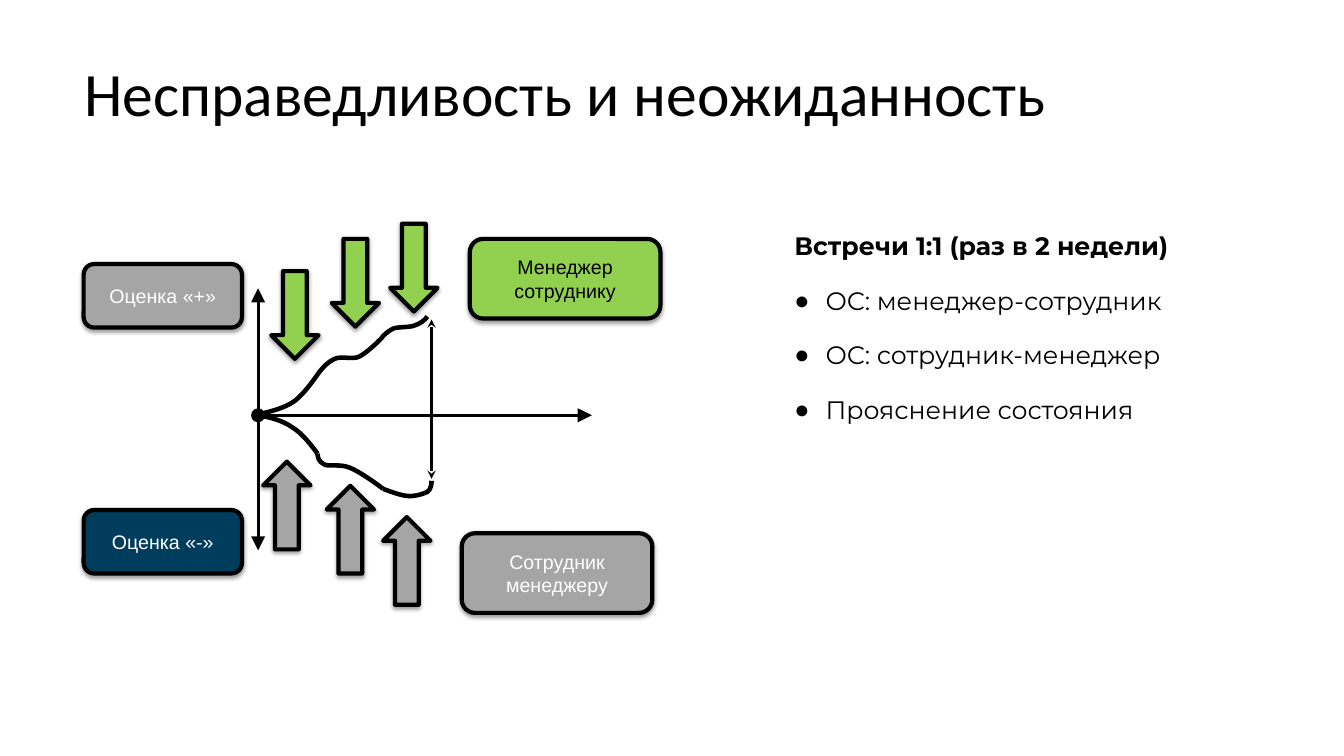
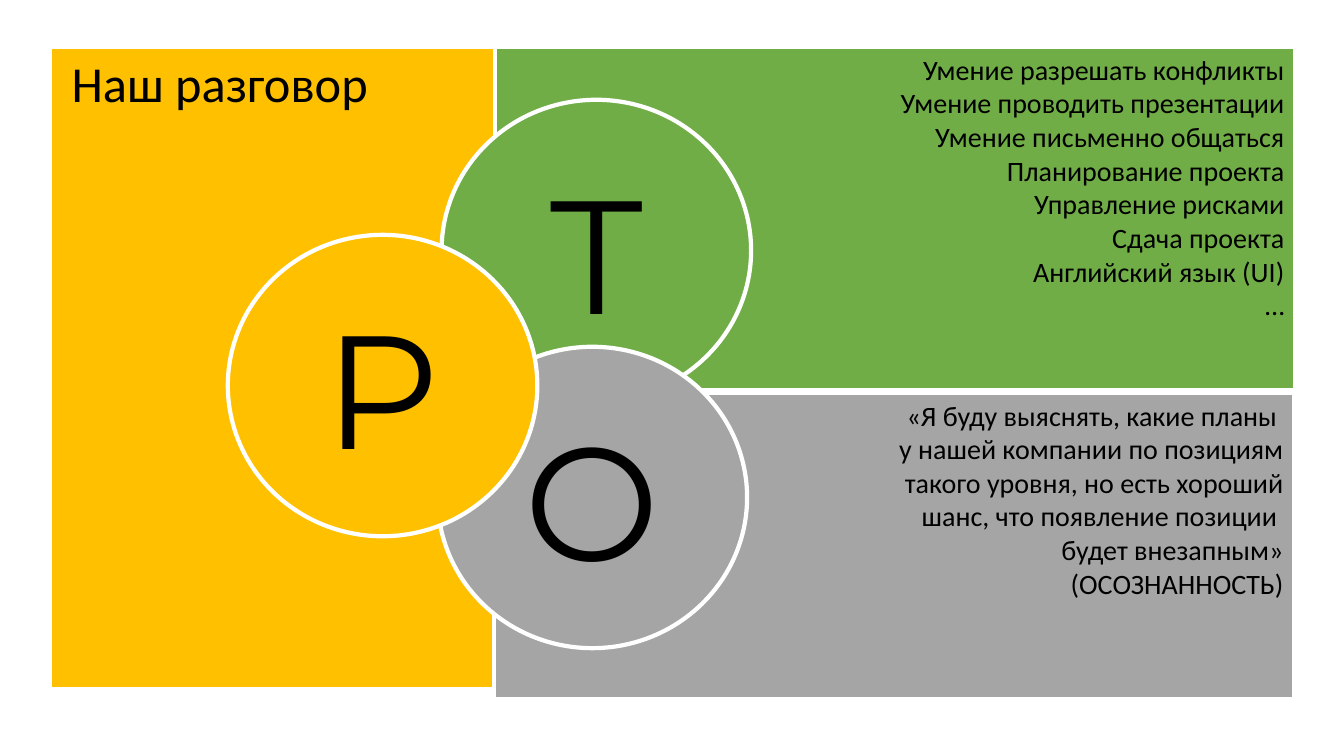
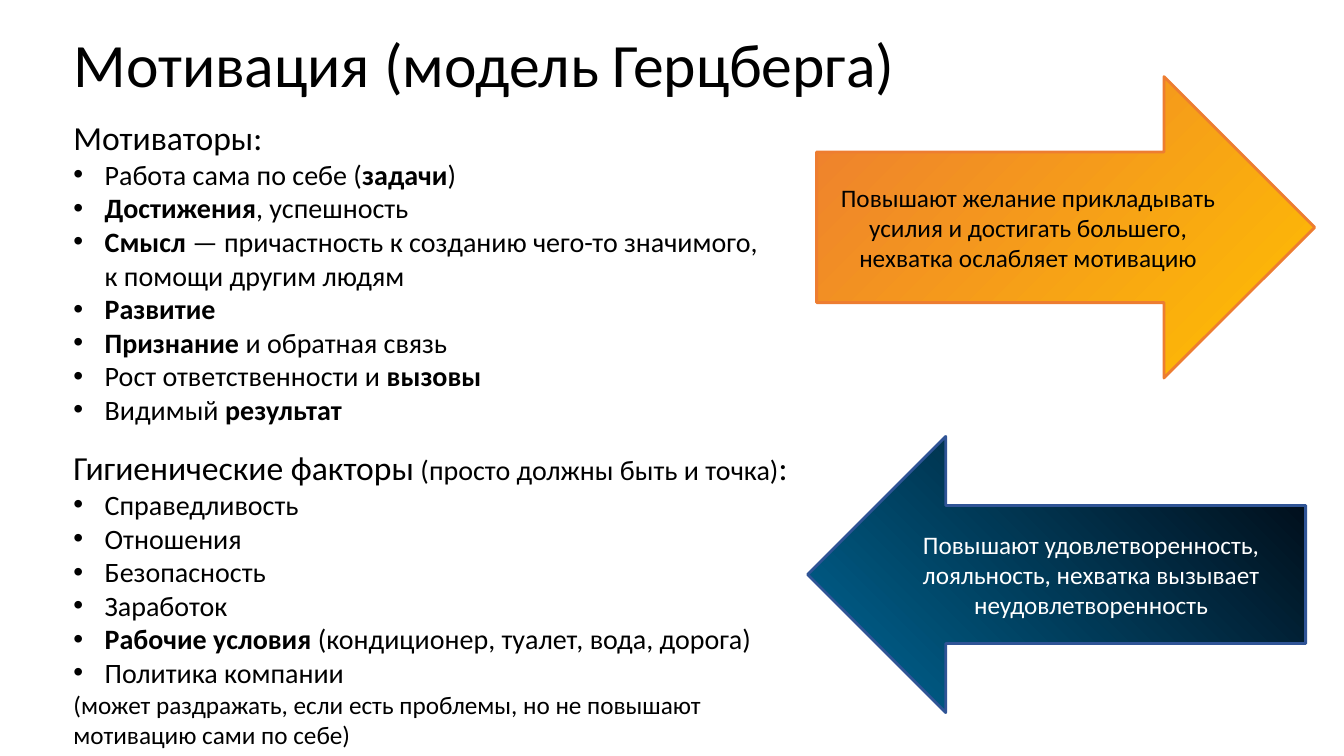
from lxml.etree import SubElement
from pptx import Presentation
from pptx.dml.color import RGBColor
from pptx.enum.shapes import MSO_CONNECTOR, MSO_SHAPE
from pptx.enum.text import MSO_ANCHOR, PP_ALIGN
from pptx.oxml.ns import qn
from pptx.util import Inches, Pt

BLACK, WHITE, GREY = "000000", "FFFFFF", "A5A5A5"
LIME, GREEN, GOLD = "92D050", "70AD47", "FFC000"
NAVY, ORANGE, BLUE = "003D5D", "ED7D31", "2F5496"
LEFT, MID, RIGHT = PP_ALIGN.LEFT, PP_ALIGN.CENTER, PP_ALIGN.RIGHT


def rgb(code):
    return RGBColor.from_string(code)


def inch(*sizes):
    return [Inches(size) for size in sizes]


def add_mark(para, mark):
    """Give a paragraph a bullet with a hanging indent."""
    props = para._p.get_or_add_pPr()
    props.set("marL", str(Inches(0.31)))
    props.set("indent", str(-Inches(0.31)))
    tint = SubElement(props, qn("a:buClr"))
    SubElement(tint, qn("a:srgbClr"), val=BLACK)
    SubElement(props, qn("a:buFont"), typeface="Arial")
    SubElement(props, qn("a:buChar"), char=mark)


def write(frame, text, size=18, font="Calibri", color=BLACK, align=LEFT,
          bold=False, alt=None, mark=None, gap=0, lead=None):
    """Add one paragraph per line; parts between asterisks take the alt format."""
    alt = alt or {"bold": True}
    for line in text.split("\n"):
        fresh = not frame.paragraphs[0].runs
        para = frame.paragraphs[0] if fresh else frame.add_paragraph()
        if mark:
            add_mark(para, mark)
        para.alignment = align
        if lead:
            para.line_spacing = lead
        if gap and not fresh:
            para.space_before = Pt(gap)
        for i, part in enumerate(line.split("*")):
            form = alt if i % 2 else {}
            for j, piece in enumerate(part.split("\v")):
                if j:
                    para.add_line_break()
                if piece:
                    run = para.add_run()
                    run.text = piece
                    run.font.name = font
                    run.font.size = Pt(form.get("size", size))
                    run.font.bold = form.get("bold", bold)
                    run.font.color.rgb = rgb(color)


def set_frame(shape, side=0.1, edge=0.05, anchor=MSO_ANCHOR.TOP):
    frame = shape.text_frame
    frame.word_wrap = True
    frame.margin_left, frame.margin_right = inch(side, 0.1)
    frame.margin_top = frame.margin_bottom = Inches(edge)
    frame.vertical_anchor = anchor
    return frame


def add_text(slide, box, edge=0.1):
    return set_frame(slide.shapes.add_textbox(*inch(*box)), edge=edge)


def add_title(slide, text, box):
    write(add_text(slide, box), text, size=44, lead=0.9)


def add_form(slide, kind, box, fill, line, width):
    """Draw a preset shape; a pair of fill colours makes a gradient."""
    shape = slide.shapes.add_shape(kind, *inch(*box))
    shape.shadow.inherit = False
    if isinstance(fill, str):
        shape.fill.solid()
        shape.fill.fore_color.rgb = rgb(fill)
    else:
        shape.fill.gradient()
        shape.fill.gradient_angle = 315
        for stop, code in zip(shape.fill.gradient_stops, fill):
            stop.color.rgb = rgb(code)
    shape.line.color.rgb = rgb(line)
    shape.line.width = Pt(width)
    return shape


def add_raised(slide, kind, box, fill):
    """Draw a black-edged shape with a soft shadow below it."""
    shape = add_form(slide, kind, box, fill, BLACK, 3)
    effect = shape.element.spPr.find(qn("a:effectLst"))
    shade = SubElement(effect, qn("a:outerShdw"), blurRad=str(Pt(3.1)),
                       dist=str(Pt(1.6)), dir="5400000", rotWithShape="0")
    tint = SubElement(shade, qn("a:srgbClr"), val=BLACK)
    SubElement(tint, qn("a:alpha"), val="38000")
    return shape


def add_label(slide, text, box, fill, color=WHITE):
    shape = add_raised(slide, MSO_SHAPE.ROUNDED_RECTANGLE, box, fill)
    frame = set_frame(shape, anchor=MSO_ANCHOR.MIDDLE)
    write(frame, text, size=14, font="Arial", color=color, align=MID)


def add_axis(slide, ends, head, tail, size="lg"):
    line = slide.shapes.add_connector(MSO_CONNECTOR.STRAIGHT, *inch(*ends))
    line.line.color.rgb = rgb(BLACK)
    line.line.width = Pt(2)
    props = line.element.spPr
    stroke = props.find(qn("a:ln"))
    for tag, kind in (("a:headEnd", head), ("a:tailEnd", tail)):
        SubElement(stroke, qn(tag), type=kind, w=size, len=size)
    SubElement(props, qn("a:effectLst"))


def add_curve(slide, x, y, knots):
    """Draw cubic curves, each set by two handles and an end knot."""
    points = [inch(x + dx, y + dy) for dx, dy in knots]
    maker = slide.shapes.build_freeform(*points[0], scale=1.0)
    maker.add_line_segments(points[1:], close=False)
    curve = maker.convert_to_shape()
    track = curve.element.find(".//" + qn("a:path"))
    legs = track.findall(qn("a:lnTo"))
    for k in range(0, len(legs), 3):
        bend = SubElement(track, qn("a:cubicBezTo"))
        for leg in legs[k:k + 3]:
            bend.append(leg[0])
            track.remove(leg)
    curve.shadow.inherit = False
    curve.fill.background()
    curve.line.color.rgb = rgb(BLACK)
    curve.line.width = Pt(3.25)


RISE = [(0.01, -0.01), (0.13, -0.04), (0.26, -0.07), (0.36, -0.14),
        (0.45, -0.21), (0.53, -0.32), (0.6, -0.42),
        (0.64, -0.47), (0.69, -0.53), (0.76, -0.56),
        (0.83, -0.59), (0.93, -0.55), (1, -0.58),
        (1.08, -0.62), (1.19, -0.73), (1.22, -0.76),
        (1.24, -0.79), (1.28, -0.83), (1.34, -0.86),
        (1.39, -0.88), (1.5, -0.87), (1.55, -0.89),
        (1.61, -0.91), (1.65, -0.94), (1.68, -0.98)]
FALL = [(0, 0), (0.12, 0.02), (0.24, 0.05), (0.34, 0.12),
        (0.44, 0.18), (0.52, 0.29), (0.59, 0.38),
        (0.59, 0.42), (0.6, 0.46), (0.66, 0.49),
        (0.71, 0.51), (0.81, 0.48), (0.91, 0.52),
        (1.01, 0.56), (1.19, 0.69), (1.24, 0.73),
        (1.32, 0.76), (1.4, 0.79), (1.47, 0.8),
        (1.55, 0.81), (1.64, 0.78), (1.68, 0.76),
        (1.72, 0.73), (1.72, 0.67), (1.72, 0.65)]


def add_graph(slide, x, y):
    """Draw the feedback graph around its origin."""
    add_axis(slide, (x, y, x + 3.31, y), "oval", "triangle")
    add_axis(slide, (x, y + 1.34, x, y - 1.26), "triangle", "triangle")
    for first, last in ((0, 6), (6, 15), (15, 24)):
        for knots in (RISE, FALL):
            add_curve(slide, x, y, knots[first:last + 1])
    add_axis(slide, (x + 1.72, y - 0.95, x + 1.72, y + 0.63),
             "stealth", "stealth", size="med")
    for text, top, fill in (("Оценка «+»", -1.5, GREY),
                            ("Оценка «-»", 0.94, NAVY)):
        add_label(slide, text, (x - 1.73, y + top, 1.57, 0.63), fill)
    for turn, fill, spots in (
            (0, LIME, ((0.13, -1.43), (0.73, -1.75), (1.31, -1.9))),
            (180, GREY, ((0.05, 0.46), (0.68, 0.7), (1.24, 1.01)))):
        for dx, dy in spots:
            arrow = add_raised(slide, MSO_SHAPE.DOWN_ARROW,
                               (x + dx, y + dy, 0.47, 0.87), fill)
            arrow.rotation = turn
    add_label(slide, "Менеджер сотруднику",
              (x + 2.1, y - 1.75, 1.89, 0.79), LIME, BLACK)
    add_label(slide, "Сотрудник менеджеру",
              (x + 2.02, y + 1.17, 1.89, 0.79), GREY)


def add_meets(slide, box):
    frame = add_text(slide, box)
    form = {"font": "Montserrat", "lead": 0.9, "gap": 19.5}
    write(frame, "Встречи 1:1 (раз в 2 недели)", bold=True, **form)
    write(frame, "ОС: менеджер-сотрудник\nОС: сотрудник-менеджер\n"
          "Прояснение состояния", mark="●", **form)


def add_panel(slide, text, box, fill, side=0.1, **form):
    shape = add_form(slide, MSO_SHAPE.RECTANGLE, box, fill, WHITE, 2.25)
    write(set_frame(shape, side), text, **form)


def add_disc(slide, text, x, y, fill):
    shape = add_form(slide, MSO_SHAPE.OVAL, (x, y, 3.07, 2.99), fill, WHITE, 3)
    write(set_frame(shape, anchor=MSO_ANCHOR.MIDDLE), text,
          size=115, font="Montserrat", align=MID)


def add_talk(slide, x, y):
    """Place the three panels and the letters over their joint."""
    add_panel(slide, "Наш разговор", (x, y, 4.41, 6.36), GOLD,
              side=0.21, size=36)
    add_panel(slide, "«Я буду выяснять, какие планы \n"
              "у нашей компании по позициям\n"
              "такого уровня, но есть хороший\n"
              "шанс, что появление позиции \n"
              "будет внезапным»\n(ОСОЗНАННОСТЬ)",
              (x + 4.4, y + 3.43, 7.93, 3.03), GREY, size=20, align=RIGHT)
    add_panel(slide, "Умение разрешать конфликты\n"
              "Умение проводить презентации\n"
              "Умение письменно общаться\nПланирование проекта\n"
              "Управление рисками\nСдача проекта\nАнглийский язык (UI)\n…",
              (x + 4.41, y, 7.93, 3.4), GREEN, size=20, align=RIGHT)
    for text, dx, dy, fill in (("T", 3.88, 0.52, GREEN),
                               ("O", 3.84, 2.97, GREY),
                               ("P", 1.76, 1.86, GOLD)):
        add_disc(slide, text, x + dx, y + dy, fill)


def add_lists(slide, box):
    frame = add_text(slide, box, edge=0.05)
    write(frame, "Мотиваторы:", size=24)
    write(frame, "Работа сама по себе (*задачи*)\n*Достижения*, успешность\n"
          "*Смысл* — причастность к созданию чего-то значимого,\v"
          "к помощи другим людям\n*Развитие*\n"
          "*Признание* и обратная связь\nРост ответственности и *вызовы*\n"
          "Видимый *результат*", size=20, mark="•")
    write(frame, "Гигиенические факторы* (просто должны быть и точка)*:",
          size=24, alt={"size": 20}, gap=15)
    write(frame, "Справедливость\nОтношения\nБезопасность\nЗаработок\n"
          "*Рабочие условия *(кондиционер, туалет, вода, дорога)\n"
          "Политика компании", size=20, mark="•")
    write(frame, "(может раздражать, если есть проблемы, но не повышают "
          "мотивацию сами по себе)")


def add_arrow(slide, text, box, fill, line, color=BLACK, flip=False):
    shape = add_form(slide, MSO_SHAPE.RIGHT_ARROW, box, fill, line, 2)
    if flip:
        shape.element.spPr.find(qn("a:xfrm")).set("flipH", "1")
    write(set_frame(shape, anchor=MSO_ANCHOR.MIDDLE), text,
          color=color, align=MID)


def main():
    deck = Presentation()
    deck.slide_width, deck.slide_height = inch(13.33, 7.5)
    graph, talk, model = [deck.slides.add_slide(deck.slide_layouts[6])
                          for _ in range(3)]

    add_title(graph, "Несправедливость и неожиданность",
              (0.74, 0.53, 11.73, 0.84))
    add_graph(graph, 2.56, 4.12)
    add_meets(graph, (7.78, 2.22, 4.06, 2.15))

    add_talk(talk, 0.5, 0.47)

    add_title(model, "Мотивация (модель Герцберга)", (0.63, 0.24, 8.74, 0.84))
    add_lists(model, (0.63, 1.11, 7.39, 6.39))
    add_arrow(model, "Повышают желание прикладывать усилия и достигать "
              "большего, нехватка ослабляет мотивацию",
              (8.1, 0.76, 4.94, 2.99), (ORANGE, GOLD), ORANGE)
    add_arrow(model, "Повышают удовлетворенность, лояльность, нехватка "
              "вызывает неудовлетворенность", (8.01, 4.33, 4.94, 2.74),
              ("010711", "006897"), BLUE, color=WHITE, flip=True)
    deck.save("out.pptx")


if __name__ == "__main__":
    main()
